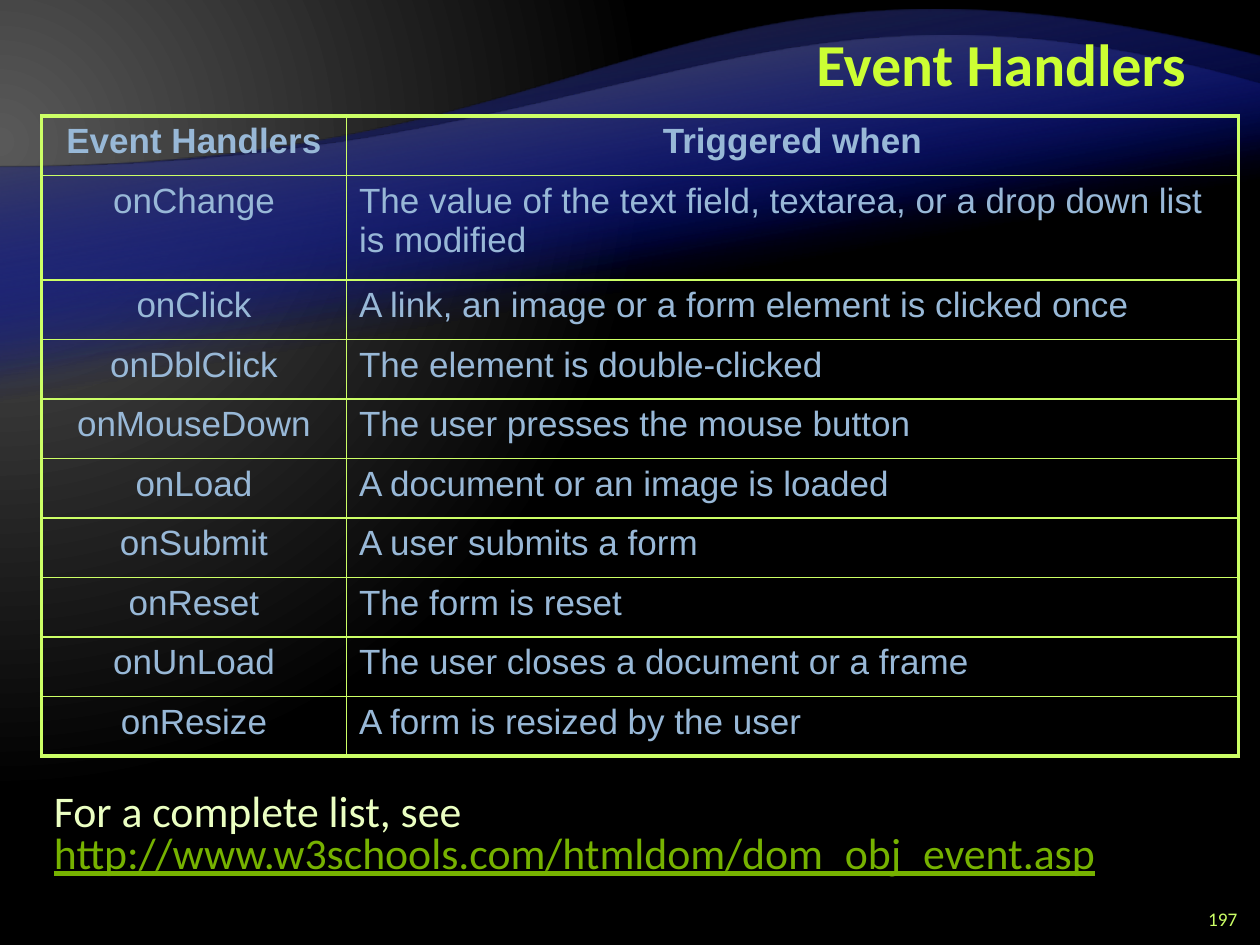
from pptx import Presentation
from pptx.dml.color import RGBColor
from pptx.enum.text import MSO_ANCHOR as Anchor, PP_ALIGN as Align
from pptx.oxml import parse_xml
from pptx.oxml.ns import nsdecls, qn
from pptx.util import Inches, Pt

WIDTH, HEIGHT = 10, 7.5
COLORS = {
    "lime": "CCFF33", "line": "CCFF66", "cell": "98B8D7", "note": "EBFFC2",
    "link": "76B200", "blue": "000D9E", "dark": "262626", "gray": "595959",
    "black": "000000",
}
HANDLERS = [
    ("Event Handlers", "Triggered when"),
    ("onChange", "The value of the text field, textarea, or a drop down list is modified"),
    ("onClick", "A link, an image or a form element is clicked once"),
    ("onDblClick", "The element is double-clicked"),
    ("onMouseDown", "The user presses the mouse button"),
    ("onLoad", "A document or an image is loaded"),
    ("onSubmit", "A user submits a form"),
    ("onReset", "The form is reset"),
    ("onUnLoad", "The user closes a document or a frame"),
    ("onResize", "A form is resized by the user"),
]
TABLE_HEIGHT, TALL_ROW = 5.08, 0.83


def color(name):
    return RGBColor.from_string(COLORS[name])


def gradient(stops, direction):
    """Gradient fill from (percent, colour name, opacity percent) stops."""
    marks = "".join(
        f'<a:gs pos="{position * 1000}"><a:srgbClr val="{COLORS[name]}">'
        f'<a:alpha val="{opacity * 1000}"/></a:srgbClr></a:gs>'
        for position, name, opacity in stops)
    return parse_xml(f'<a:gradFill {nsdecls("a")} rotWithShape="1">'
                     f"<a:gsLst>{marks}</a:gsLst>{direction}</a:gradFill>")


def replace_solid(parent, fill):
    solid = next(parent.iter(qn("a:solidFill")))
    solid.getparent().replace(solid, fill)


class SlideBuilder:
    """Draws on one slide; places are shares of the slide's size."""

    text_font, table_font = "Calibri", "Arial"

    def __init__(self, presentation):
        self.slide = presentation.slides.add_slide(presentation.slide_layouts[6])

    def box(self, left, top, width, height):
        return (Inches(left * WIDTH), Inches(top * HEIGHT),
                Inches(width * WIDTH), Inches(height * HEIGHT))

    def background(self):
        self.slide.background.fill.solid()
        direction = ('<a:path path="circle"><a:fillToRect l="20000" t="30000" '
                     'r="135000" b="100000"/></a:path>')
        replace_solid(self.slide.element.find(".//" + qn("p:bg")),
                      gradient([(0, "gray", 100), (83, "black", 100)], direction))

    def wave(self, curve, bottom, edge):
        """Area below a Bezier curve, drawn upside down and turned by 180 degrees."""
        start, *controls, end = curve
        top = end[1]

        def turn(x, y):
            return Inches(WIDTH - x), Inches(top + bottom - y)

        corners = [turn(*point) for point in
                   ((WIDTH, bottom), (0, bottom), start, end, (WIDTH, bottom))]
        builder = self.slide.shapes.build_freeform(*corners[0])
        builder.add_line_segments(corners[1:], close=True)
        shape = builder.convert_to_shape()

        points = "".join(f'<a:pt x="{x}" y="{y - Inches(top)}"/>'
                         for x, y in (turn(*point) for point in (*controls, end)))
        edge_line = list(shape.element.iter(qn("a:lnTo")))[2]
        edge_line.getparent().replace(edge_line, parse_xml(
            f'<a:cubicBezTo {nsdecls("a")}>{points}</a:cubicBezTo>'))

        shape.rotation = 180
        shape.shadow.inherit = False
        shape.line.fill.background()
        shape.fill.solid()
        replace_solid(shape.element.spPr,
                      gradient([(65, "blue", 0), (100, edge, 100)],
                               '<a:lin ang="4800000" scaled="0"/>'))

    def style(self, paragraph, size, name, font=None, bold=False):
        paragraph.font.name = font or self.text_font
        paragraph.font.size = Pt(size)
        paragraph.font.bold = bold
        paragraph.font.color.rgb = color(name)

    def text(self, place, text, size, name, align=Align.LEFT, anchor=Anchor.MIDDLE,
             bold=False, spacing=None):
        frame = self.slide.shapes.add_textbox(*self.box(*place)).text_frame
        frame.word_wrap = True
        frame.vertical_anchor = anchor
        paragraph = frame.paragraphs[0]
        paragraph.alignment = align
        paragraph.line_spacing = spacing
        self.style(paragraph, size, name, bold=bold)
        paragraph.add_run().text = text
        return paragraph

    def borders(self, cell, widths):
        properties = cell._tc.get_or_add_tcPr()
        for index, (side, width) in enumerate(zip("LRTB", widths)):
            properties.insert(index, parse_xml(
                f'<a:ln{side} {nsdecls("a")} w="{Pt(width)}"><a:solidFill>'
                f'<a:srgbClr val="{COLORS["line"]}"/></a:solidFill></a:ln{side}>'))

    def table(self, place, rows, column_widths, row_heights):
        table = self.slide.shapes.add_table(
            len(rows), len(column_widths), *self.box(*place)).table
        table.first_row = table.horz_banding = False
        for column, width in zip(table.columns, column_widths):
            column.width = Inches(width)
        for row, height in zip(table.rows, row_heights):
            row.height = Inches(height)
        last_row, last_column = len(rows) - 1, len(column_widths) - 1
        for r, texts in enumerate(rows):
            for c, text in enumerate(texts):
                cell = table.cell(r, c)
                cell.fill.background()
                outer = (c == 0, c == last_column, r == 0, r == last_row)
                self.borders(cell, [2.25 if edge else 1 for edge in outer])
                cell.text = text
                paragraph = cell.text_frame.paragraphs[0]
                paragraph.alignment = Align.CENTER if r == 0 or c == 0 else Align.LEFT
                self.style(paragraph, 20, "cell", self.table_font, bold=r == 0)


def main():
    presentation = Presentation()
    presentation.slide_width, presentation.slide_height = Inches(WIDTH), Inches(HEIGHT)
    builder = SlideBuilder(presentation)

    builder.background()
    for _ in range(2):
        builder.wave([(0, 1.33), (5, 1.33), (5.34, -0.75), (10, 0.45)], 6.53, "dark")
        builder.wave([(0, 1.33), (5, 1.33), (5.98, -0.49), (10, 0.67)], 5.57, "gray")

    builder.text((0.942, 7.17 / HEIGHT, 0.05, 0.25 / HEIGHT), "197", 11, "line", Align.RIGHT)
    builder.text((0.051, 0.18 / HEIGHT, 0.9, 0.65 / HEIGHT), "Event Handlers", 34, "lime",
                 Align.RIGHT, bold=True, spacing=Pt(40))

    row_height = (TABLE_HEIGHT - TALL_ROW) / (len(HANDLERS) - 1)
    row_heights = [TALL_ROW if r == 1 else row_height for r in range(len(HANDLERS))]
    builder.table((0.033, 0.92 / HEIGHT, 0.95, TABLE_HEIGHT / HEIGHT),
                  HANDLERS, (2.42, 7.08), row_heights)

    note = builder.text((0.033, 6.25 / HEIGHT, 0.942, 0.34 / HEIGHT),
                        "For a complete list, see ", 25, "note",
                        anchor=Anchor.TOP, spacing=0.8)
    address = note.add_run()
    address.text = "http://www.w3schools.com/htmldom/dom_obj_event.asp"
    address.font.color.rgb = color("link")
    address.font.underline = True

    presentation.save("out.pptx")


if __name__ == "__main__":
    main()
